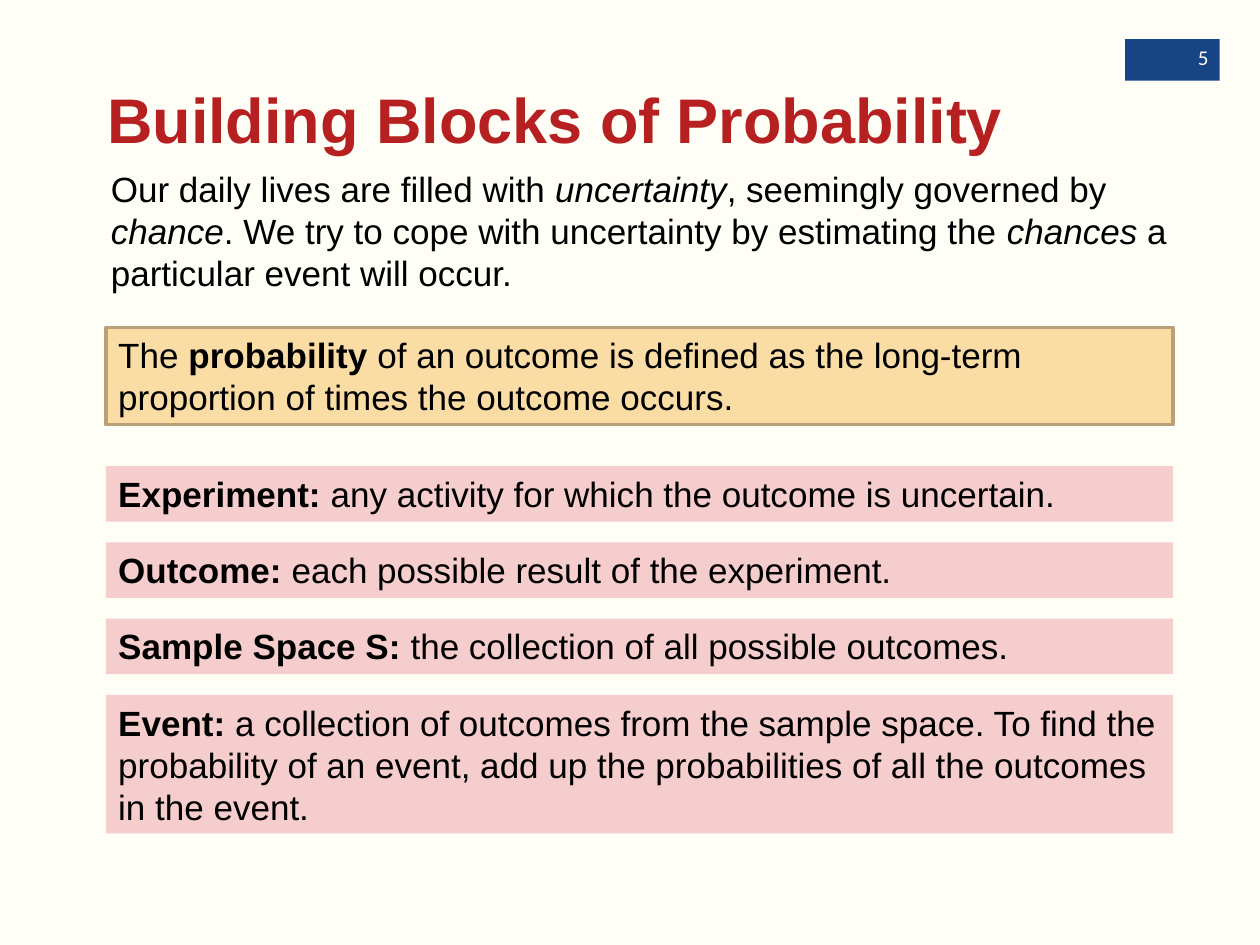
from lxml.etree import SubElement
from pptx import Presentation
from pptx.dml.color import RGBColor as Color
from pptx.enum.shapes import MSO_SHAPE as Shape
from pptx.enum.text import MSO_ANCHOR as Anchor, MSO_AUTO_SIZE as AutoSize, PP_ALIGN as Align
from pptx.oxml.ns import qn
from pptx.util import Inches, Pt

COLUMN, ROW = 0.1, 0.11
LEFT, WIDTH = 8.4, 84.7
COLORS = {
    "background": "FEFEF7", "badge": "164484", "badge_text": "FFFFFF",
    "title": "B72020", "text": "000000", "highlight": "FADCA5",
    "highlight_line": "B8A178", "term": "F6CDCD",
}
INTRO = [
    ("Our daily lives are filled with ", ""), ("uncertainty", "italic"),
    (", seemingly governed by ", ""), ("chance", "italic"),
    (". We try to cope with uncertainty by estimating the ", ""),
    ("chances", "italic"), (" a particular event will occur.", ""),
]
DEFINITION = [
    ("The ", ""), ("probability", "bold"),
    (" of an outcome is defined as the long-term proportion of times the outcome occurs.", ""),
]
TERMS = [
    ("Experiment:", " any activity for which the outcome is uncertain.", 1),
    ("Outcome:", " each possible result of the experiment.", 1),
    ("Sample Space S:", " the collection of all possible outcomes.", 1),
    ("Event:", " a collection of outcomes from the sample space. To find the probability "
     "of an event, add up the probabilities of all the outcomes in the event.", 3),
]


def color(name):
    return Color.from_string(COLORS[name])


def area(left, top, width, height):
    return (Inches(left * COLUMN), Inches(top * ROW),
            Inches(width * COLUMN), Inches(height * ROW))


def rows_for(lines):
    return 3 * lines + 1


def place(box, bounds):
    box.left, box.top, box.width, box.height = bounds


def write(box, spans, size=20, ink="text", font="Arial", align=Align.LEFT,
          anchor=Anchor.TOP, grow=True):
    frame = box.text_frame
    frame.word_wrap = True
    frame.auto_size = AutoSize.SHAPE_TO_FIT_TEXT if grow else AutoSize.NONE
    frame.vertical_anchor = anchor
    para = frame.paragraphs[0]
    para.alignment = align
    para.space_before = Pt(0)
    for text, style in spans:
        span = para.add_run()
        span.text = text
        span.font.name = font
        span.font.size = Pt(size)
        span.font.bold = style == "bold"
        span.font.italic = style == "italic"
        span.font.color.rgb = color(ink)
    return para


def add_box(page, bounds, fill, line=None):
    box = page.shapes.add_shape(Shape.RECTANGLE, *bounds)
    box.shadow.inherit = False
    box.fill.solid()
    box.fill.fore_color.rgb = color(fill)
    if line:
        box.line.color.rgb = color(line)
        box.line.width = Pt(2)
    else:
        box.line.fill.background()
    return box


def add_page_number(page):
    add_box(page, area(89.3, 2.82, 7.5, 3), "badge")
    box = page.shapes.add_textbox(*area(90.8, 2.45, 6.1, 3.64))
    para = write(box, [("5", "")], 12, "badge_text", "Calibri",
                 Align.RIGHT, Anchor.MIDDLE, grow=False)
    para.line_spacing = 0.8


def fill_title(page):
    title = page.shapes.title
    place(title, area(7.5, 3, 81.2, 11.09))
    write(title, [("Building Blocks of Probability", "bold")], 36, "title",
          anchor=Anchor.MIDDLE, grow=False)


def fill_intro(page):
    body = page.placeholders[1]
    place(body, area(7.8, 11.64, 86.3, rows_for(3)))
    properties = body.text_frame.paragraphs[0]._p.get_or_add_pPr()
    properties.set("marL", "0")
    properties.set("indent", "0")
    SubElement(properties, qn("a:buNone"))
    write(body, INTRO)


def add_terms(page, top, gap):
    for term, meaning, lines in TERMS:
        height = rows_for(lines)
        box = add_box(page, area(LEFT, top, WIDTH, height), "term")
        write(box, [(term, "bold"), (meaning, "")])
        top += height + gap


def main():
    deck = Presentation()
    deck.slide_width, deck.slide_height = Inches(10), Inches(7.5)
    page = deck.slides.add_slide(deck.slide_layouts[1])
    page.background.fill.solid()
    page.background.fill.fore_color.rgb = color("background")
    add_page_number(page)
    fill_title(page)
    fill_intro(page)
    definition = add_box(page, area(LEFT, 23.64, WIDTH, rows_for(2)),
                         "highlight", "highlight_line")
    write(definition, DEFINITION)
    add_terms(page, top=33.64, gap=1.5)
    deck.save("out.pptx")


if __name__ == "__main__":
    main()
